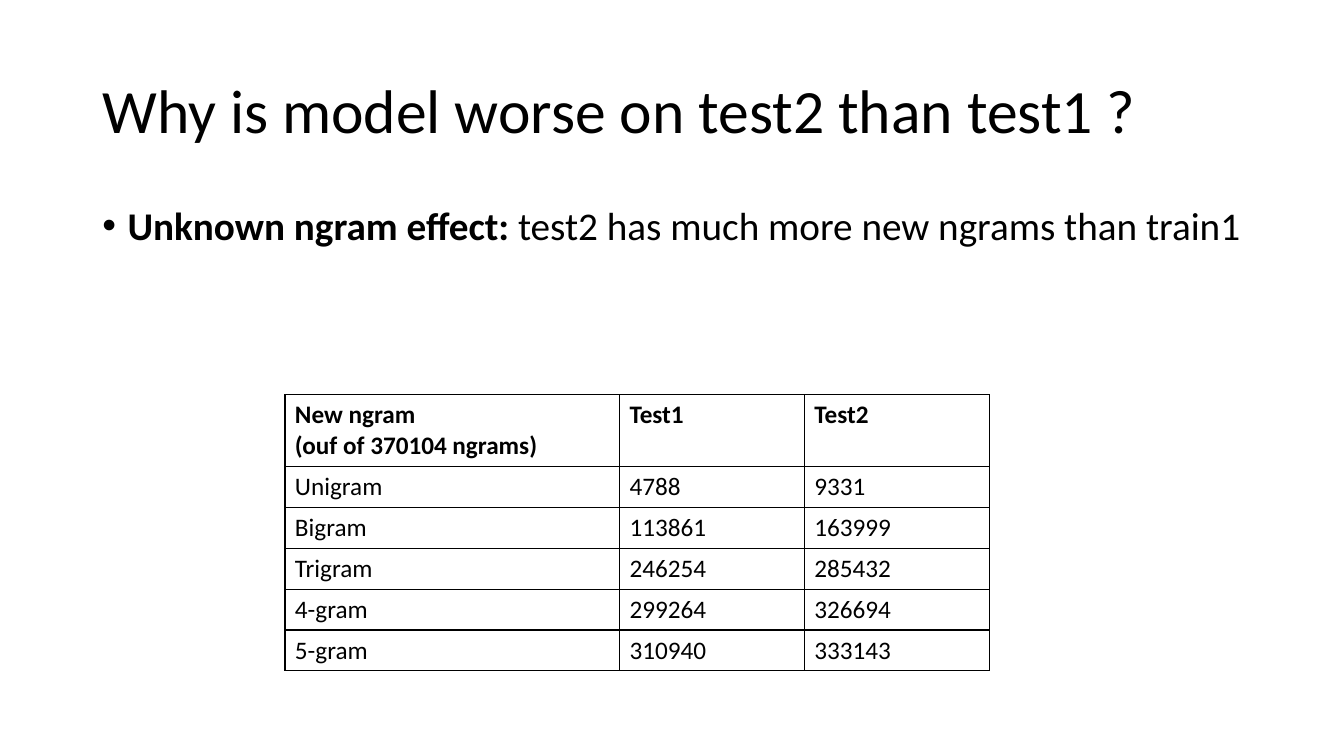
from lxml.etree import SubElement
from pptx import Presentation
from pptx.dml.color import RGBColor
from pptx.enum.text import MSO_ANCHOR as Anchor, MSO_AUTO_SIZE as AutoSize, PP_ALIGN as Align
from pptx.oxml.ns import qn
from pptx.util import Cm, Pt

FONT = "Calibri"
BLACK = "000000"
TITLE_ONLY = 5
COLUMN_WIDTHS = (8.43, 4.66, 4.66)
HEADER_HEIGHT, ROW_HEIGHT = 1.8, 1.03
NGRAM_ROWS = (
    ("New ngram\n(ouf of 370104 ngrams)", "Test1", "Test2"),
    ("Unigram", "4788", "9331"),
    ("Bigram", "113861", "163999"),
    ("Trigram", "246254", "285432"),
    ("4-gram", "299264", "326694"),
    ("5-gram", "310940", "333143"),
)


def color(value):
    return RGBColor.from_string(value)


def write(paragraph, text, size=18, bold=False, fill=BLACK):
    for index, line in enumerate(text.split("\n")):
        if index:
            paragraph.add_line_break()
        run = paragraph.add_run()
        run.text = line
        run.font.name = FONT
        run.font.size = Pt(size)
        run.font.bold = bold
        run.font.color.rgb = color(fill)


def add_bullet(paragraph, indent):
    properties = paragraph._p.get_or_add_pPr()
    properties.set("marL", str(indent))
    properties.set("indent", str(-indent))
    SubElement(properties, qn("a:buFont"), typeface="Arial")
    SubElement(properties, qn("a:buChar"), char="•")


def add_borders(cell, width, fill):
    properties = cell._tc.get_or_add_tcPr()
    for side in ("lnL", "lnR", "lnT", "lnB"):
        line = SubElement(properties, qn(f"a:{side}"), w=str(width))
        solid = SubElement(line, qn("a:solidFill"))
        SubElement(solid, qn("a:srgbClr"), val=fill)


def place_title(slide, left, top, width, height):
    title = slide.shapes.title
    title.left, title.top = Cm(left), Cm(top)
    title.width, title.height = Cm(width), Cm(height)
    frame = title.text_frame
    frame.word_wrap = True
    frame.auto_size = AutoSize.NONE
    frame.vertical_anchor = Anchor.MIDDLE
    paragraph = frame.paragraphs[0]
    paragraph.alignment = Align.LEFT
    paragraph.line_spacing = 0.9
    write(paragraph, "Why is model worse on test2 than test1 ?", size=44)


def place_explanation(slide, left, top, width, height):
    box = slide.shapes.add_textbox(Cm(left), Cm(top), Cm(width), Cm(height))
    box.text_frame.word_wrap = True
    paragraph = box.text_frame.paragraphs[0]
    paragraph.line_spacing = 0.9
    paragraph.space_before = Pt(10)
    add_bullet(paragraph, Pt(18))
    write(paragraph, "Unknown ngram effect:", size=28, bold=True)
    write(paragraph, " test2 has much more new ngrams than train1", size=28)


def place_ngram_table(slide, left, top):
    height = HEADER_HEIGHT + ROW_HEIGHT * (len(NGRAM_ROWS) - 1)
    table = slide.shapes.add_table(
        len(NGRAM_ROWS), len(COLUMN_WIDTHS),
        Cm(left), Cm(top), Cm(sum(COLUMN_WIDTHS)), Cm(height),
    ).table
    table.first_row = False
    table.horz_banding = False
    for column, width in zip(table.columns, COLUMN_WIDTHS):
        column.width = Cm(width)
    for index, (row, values) in enumerate(zip(table.rows, NGRAM_ROWS)):
        is_header = index == 0
        row.height = Cm(HEADER_HEIGHT if is_header else ROW_HEIGHT)
        for cell, value in zip(row.cells, values):
            add_borders(cell, Pt(1), BLACK)
            cell.fill.background()
            write(cell.text_frame.paragraphs[0], value, bold=is_header)


def main():
    presentation = Presentation()
    presentation.slide_width = Cm(33.87)
    presentation.slide_height = Cm(19.05)
    slide = presentation.slides.add_slide(presentation.slide_layouts[TITLE_ONLY])
    place_title(slide, 2.33, 1.01, 29.21, 3.68)
    place_ngram_table(slide, 7.18, 9.95)
    place_explanation(slide, 2.33, 5.07, 29.21, 3.18)
    presentation.save("out.pptx")


if __name__ == "__main__":
    main()
